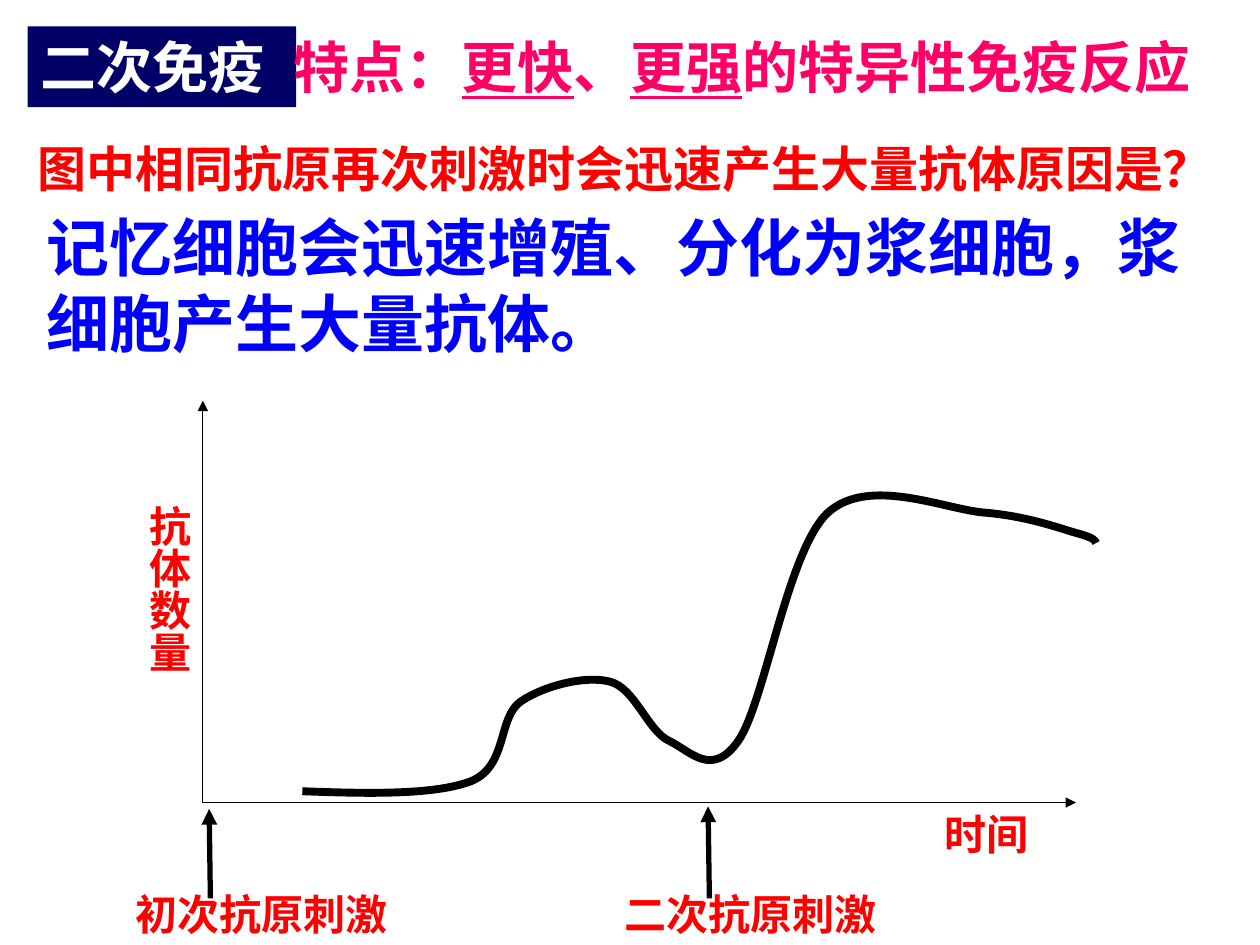
from lxml import etree
from pptx import Presentation, util as u
from pptx.dml.color import RGBColor
from pptx.enum import shapes, text
from pptx.oxml.ns import qn

BLACK = RGBColor(0x00, 0x00, 0x00)
WHITE = RGBColor(0xFF, 0xFF, 0xFF)
NAVY = RGBColor(0x00, 0x00, 0x66)
RED = RGBColor(0xFF, 0x00, 0x00)
BLUE = RGBColor(0x00, 0x00, 0xFF)
PINK = RGBColor(0xFF, 0x00, 0x66)
SANS = "Noto Sans CJK SC"

# The slide is a grid of 100 columns by 75 rows
CELL = u.Inches(0.1)


def cells(*counts):
    return [round(count * CELL) for count in counts]


def write(box, spans, size, color, font=SANS, wrap=True):
    """Fill a box with one bold paragraph of (wording, underlined) spans."""
    frame = box.text_frame
    layout = {"word_wrap": wrap, "auto_size": text.MSO_AUTO_SIZE.NONE,
              "vertical_anchor": text.MSO_ANCHOR.TOP,
              "margin_left": CELL, "margin_right": CELL,
              "margin_top": CELL // 2, "margin_bottom": CELL // 2}
    for name, value in layout.items():
        setattr(frame, name, value)
    para = frame.paragraphs[0]
    para.alignment = text.PP_ALIGN.LEFT
    for wording, underlined in spans:
        span = para.add_run()
        span.text = wording
        span.font.color.rgb = color
        looks = {"size": u.Pt(size), "bold": True, "name": font, "underline": underlined}
        for name, value in looks.items():
            setattr(span.font, name, value)
        latin = span.font._element.find(qn("a:latin"))
        east_asian = etree.Element(qn("a:ea"), typeface=font)
        latin.addnext(east_asian)


deck = Presentation()
deck.slide_width, deck.slide_height = cells(100, 75)
page = deck.slides.add_slide(deck.slide_layouts[5])

# Axes and stimulus arrows: start, end, line width
arrows = [
    ((16.1, 63.7), (85.4, 63.7), 0.75),
    ((16.1, 63.7), (16.1, 31.8), 0.75),
    ((16.7, 71.3), (16.6, 64.2), 3),
    ((56.3, 71.3), (56.2, 64), 3),
]
for start, end, width in arrows:
    arrow = page.shapes.add_connector(shapes.MSO_CONNECTOR.STRAIGHT, *cells(*start, *end))
    arrow.line.color.rgb = BLACK
    arrow.line.width = u.Pt(width)
    etree.SubElement(arrow.line._get_or_add_ln(), qn("a:tailEnd"), type="triangle")
    etree.SubElement(arrow._element.spPr, qn("a:effectLst"))

# Antibody curve: a start point, then two control points and an end per piece
curve_points = [
    (24, 62.8),
    (29.3, 63), (34.5, 63.1), (37.4, 62),
    (40.3, 60.8), (39.5, 57), (41.3, 55.7),
    (43.2, 54.4), (46.5, 53.6), (48.4, 54.1),
    (50.4, 54.6), (51.4, 58), (53.1, 58.8),
    (54.8, 59.6), (56.5, 61.8), (58.6, 58.8),
    (60.7, 55.8), (62.5, 43.7), (65.7, 40.7),
    (69, 37.7), (75.1, 40.5), (78.3, 40.7),
    (81.6, 41), (84, 41.9), (85.4, 42.3),
    (86.9, 42.7), (86.9, 42.9), (87, 43.1),
]
first, *rest = [cells(*point) for point in curve_points]
outline = page.shapes.build_freeform(*first)
outline.add_line_segments(rest, close=False)
curve = outline.convert_to_shape()
curve.shadow.inherit = False
curve.fill.background()
curve.line.color.rgb = BLACK
curve.line.width = u.Pt(4.5)
geometry = curve._element.find(".//" + qn("a:path"))
corners = geometry.findall(qn("a:lnTo"))
for piece in range(0, len(corners), 3):
    bezier = etree.SubElement(geometry, qn("a:cubicBezTo"))
    for corner in corners[piece:piece + 3]:
        bezier.append(corner[0])
        geometry.remove(corner)

# Upright axis label
axis_label = page.shapes.add_textbox(*cells(9.9, 39.1, 6, 20.9))
write(axis_label, [("抗体数量", False)], 24, RED)
frame = axis_label.text_frame
frame.margin_left = frame.margin_right = CELL // 2
frame.margin_top = frame.margin_bottom = CELL
frame._txBody.bodyPr.set("vert", "eaVert")

# Level text: wording, place, size, colour, font, wrap
labels = [
    ("初次抗原刺激", (9.8, 70, 22, 5), 24, RED, SANS, False),
    ("二次抗原刺激", (48.6, 70, 22, 5), 24, RED, SANS, False),
    ("时间", (74, 63.7, 8.6, 5), 24, RED, SANS, False),
    ("图中相同抗原再次刺激时会迅速产生大量抗体原因是？", (2, 10.5, 96.9, 5.7), 28, RED, SANS, True),
    ("记忆细胞会迅速增殖、分化为浆细胞，浆细胞产生大量抗体。", (2.7, 16.1, 94.5, 13), 36, BLUE, "Arial", True),
]
for wording, place, size, color, font, wrap in labels:
    write(page.shapes.add_textbox(*cells(*place)), [(wording, False)], size, color, font, wrap)

# Heading: tag and title, with the title in front
tag = page.shapes.add_shape(shapes.MSO_SHAPE.RECTANGLE, *cells(2.2, 2.1, 21.3, 6.4))
tag.shadow.inherit = False
tag.fill.solid()
tag.fill.fore_color.rgb = NAVY
tag.line.fill.background()
write(tag, [("二次免疫", False)], 32, WHITE)

title = page.shapes.title
title.left, title.top, title.width, title.height = cells(22.3, 2.1, 76.5, 6.4)
write(title, [("特点：", False), ("更快", True), ("、", False), ("更强", True),
              ("的特异性免疫反应", False)], 32, PINK)
tag._element.addnext(title._element)

deck.save("out.pptx")
